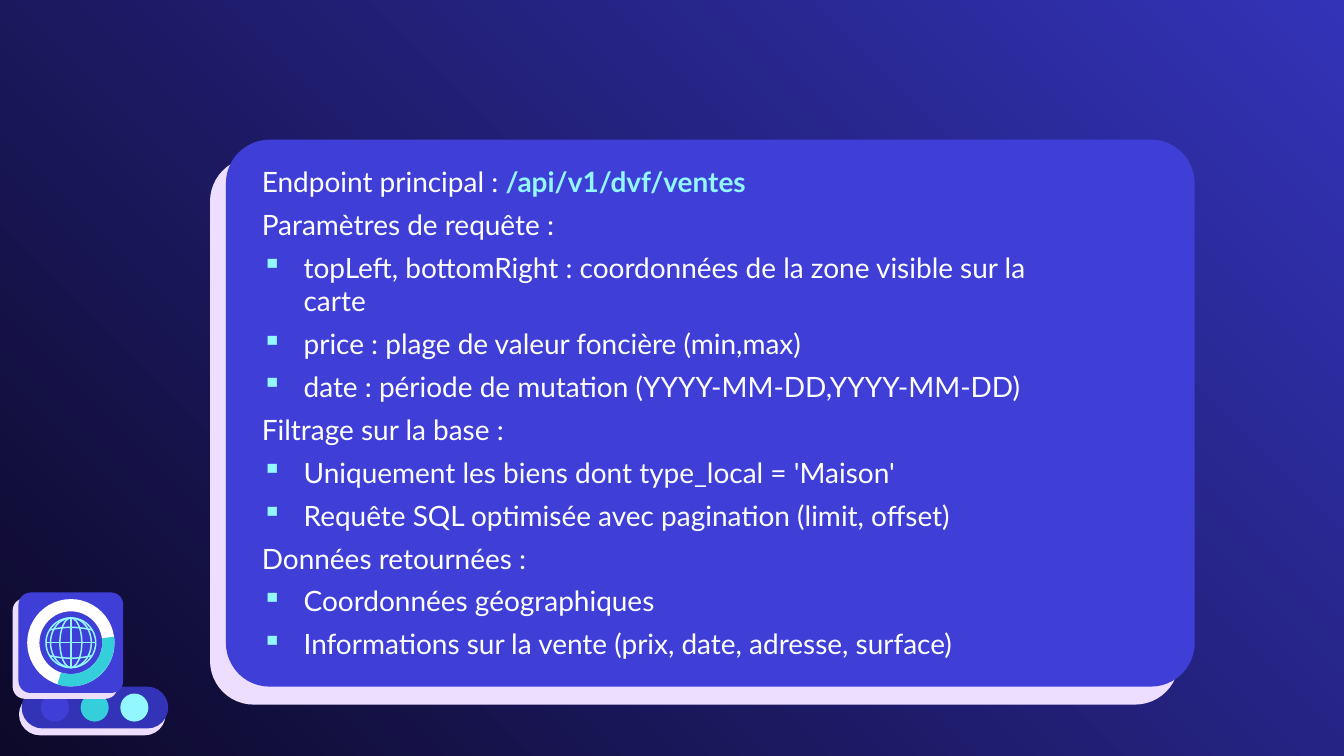
from lxml import etree
from pptx import Presentation
from pptx.dml.color import RGBColor
from pptx.enum.shapes import MSO_CONNECTOR, MSO_SHAPE
from pptx.enum.text import MSO_ANCHOR
from pptx.oxml.ns import qn
from pptx.util import Cm, Pt

COLORS = {
    "night": "0D092A",
    "indigo": "3333B8",
    "violet": "3F3FD8",
    "lilac": "EDDEFF",
    "teal": "35CFDB",
    "aqua": "92F7FF",
    "white": "FFFFFF",
}
ENDPOINT = ("Endpoint principal : ", "/api/v1/dvf/ventes")
SECTIONS = [
    ("Paramètres de requête :", [
        "topLeft, bottomRight : coordonnées de la zone visible sur la carte",
        "price : plage de valeur foncière (min,max)",
        "date : période de mutation (YYYY-MM-DD,YYYY-MM-DD)",
    ]),
    ("Filtrage sur la base :", [
        "Uniquement les biens dont type_local = 'Maison'",
        "Requête SQL optimisée avec pagination (limit, offset)",
    ]),
    ("Données retournées :", [
        "Coordonnées géographiques",
        "Informations sur la vente (prix, date, adresse, surface)",
    ]),
]
BULLET_INDENT = Cm(0.79)
GLOBE_LINE = Pt(0.8)


def color(name):
    return RGBColor.from_string(COLORS[name])


def add_filled(slide, kind, box, fill, adjustments=()):
    shape = slide.shapes.add_shape(kind, *(Cm(length) for length in box))
    shape.shadow.inherit = False
    shape.fill.solid()
    shape.fill.fore_color.rgb = color(fill)
    shape.line.fill.background()
    for index, value in enumerate(adjustments):
        shape.adjustments[index] = value
    return shape


def add_raised_panel(slide, box, fill, corner, offset):
    """Rounded panel over a lilac twin moved by offset."""
    left, top, width, height = box
    twin = (left + offset[0], top + offset[1], width, height)
    for place, name in ((twin, "lilac"), (box, fill)):
        add_filled(slide, MSO_SHAPE.ROUNDED_RECTANGLE, place, name, [corner])


def centered(x, y, width, height):
    return x - width / 2, y - height / 2, width, height


def paint_background(slide):
    fill = slide.background.fill
    fill.gradient()
    fill.gradient_angle = 45
    for stop, position, name in zip(fill.gradient_stops, (0, 1), ("night", "indigo")):
        stop.position = position
        stop.color.rgb = color(name)


def format_paragraph(paragraph):
    paragraph.font.name = "Lato"
    paragraph.font.size = Pt(15)
    paragraph.font.color.rgb = color("white")


def add_bullet(paragraph):
    properties = paragraph._p.get_or_add_pPr()
    properties.set("marL", str(BULLET_INDENT))
    properties.set("indent", str(-BULLET_INDENT))
    bullet_color = etree.SubElement(properties, qn("a:buClr"))
    etree.SubElement(bullet_color, qn("a:srgbClr"), val=COLORS["aqua"])
    etree.SubElement(properties, qn("a:buChar"), char="▪")


def add_api_card(slide, box):
    left, top, width, height = box
    add_raised_panel(slide, box, "violet", 0.08, (-0.3, 0.34))
    text_box = slide.shapes.add_textbox(
        Cm(left + 0.43), Cm(top + 0.05), Cm(width - 2.26), Cm(height - 0.13))
    frame = text_box.text_frame
    frame.word_wrap = True
    frame.vertical_anchor = MSO_ANCHOR.MIDDLE

    first = frame.paragraphs[0]
    format_paragraph(first)
    for text, name, bold in zip(ENDPOINT, ("white", "aqua"), (False, True)):
        run = first.add_run()
        run.text = text
        run.font.name = "Lato"
        run.font.size = Pt(15)
        run.font.bold = bold
        run.font.color.rgb = color(name)

    for heading, items in SECTIONS:
        for text in [heading, *items]:
            paragraph = frame.add_paragraph()
            paragraph.text = text
            paragraph.space_before = Pt(5)
            if text != heading:
                add_bullet(paragraph)
            format_paragraph(paragraph)


def style_globe_line(shape):
    shape.line.color.rgb = color("aqua")
    shape.line.width = GLOBE_LINE


def add_globe(slide, x, y, diameter):
    radius = diameter / 2
    for share in (1, 0.82, 0.44):
        meridian = slide.shapes.add_shape(MSO_SHAPE.OVAL, *(
            Cm(length) for length in centered(x, y, diameter * share, diameter)))
        meridian.shadow.inherit = False
        meridian.fill.background()
        style_globe_line(meridian)

    for dx, dy in ((radius, 0), (0, radius)):
        axis = slide.shapes.add_connector(
            MSO_CONNECTOR.STRAIGHT, Cm(x - dx), Cm(y - dy), Cm(x + dx), Cm(y + dy))
        etree.SubElement(axis._element.spPr, qn("a:effectLst"))
        style_globe_line(axis)

    for side in (-1, 1):
        points = []
        for step in range(-4, 5):
            across = step / 4
            rise = 0.62 - 0.1 * across ** 2
            points.append((Cm(x + 0.85 * radius * across), Cm(y + side * radius * rise)))
        builder = slide.shapes.build_freeform(*points[0])
        builder.add_line_segments(points[1:], close=False)
        parallel = builder.convert_to_shape()
        parallel.shadow.inherit = False
        parallel.fill.background()
        style_globe_line(parallel)


def add_dot_bar(slide, box):
    left, top, width, height = box
    add_raised_panel(slide, box, "indigo", 0.5, (-0.05, 0.13))
    for index, name in enumerate(("violet", "teal", "aqua")):
        dot = centered(left + 0.63 + 0.75 * index, top + height / 2, 0.53, 0.53)
        add_filled(slide, MSO_SHAPE.OVAL, dot, name)


def add_globe_tile(slide, box):
    left, top, width, height = box
    add_raised_panel(slide, box, "violet", 0.12, (-0.11, 0.11))
    x, y = left + width / 2, top + height / 2
    ring = centered(x, y, 1.65, 1.65)
    add_filled(slide, MSO_SHAPE.DONUT, ring, "white", [0.14])
    # Angles are stored in 60000ths of a degree, adjustments in 100000ths
    start, end = 352 * 0.6, 108 * 0.6
    add_filled(slide, MSO_SHAPE.BLOCK_ARC, ring, "teal", [start, end, 0.14])
    add_globe(slide, x, y, 0.94)


def main():
    presentation = Presentation()
    presentation.slide_width = Cm(25.4)
    presentation.slide_height = Cm(14.29)
    slide = presentation.slides.add_slide(presentation.slide_layouts[6])
    paint_background(slide)
    add_api_card(slide, (4.27, 2.64, 18.31, 10.34))
    add_dot_bar(slide, (0.41, 12.98, 2.77, 0.79))
    add_globe_tile(slide, (0.35, 11.2, 1.98, 1.9))
    presentation.save("out.pptx")


if __name__ == "__main__":
    main()
